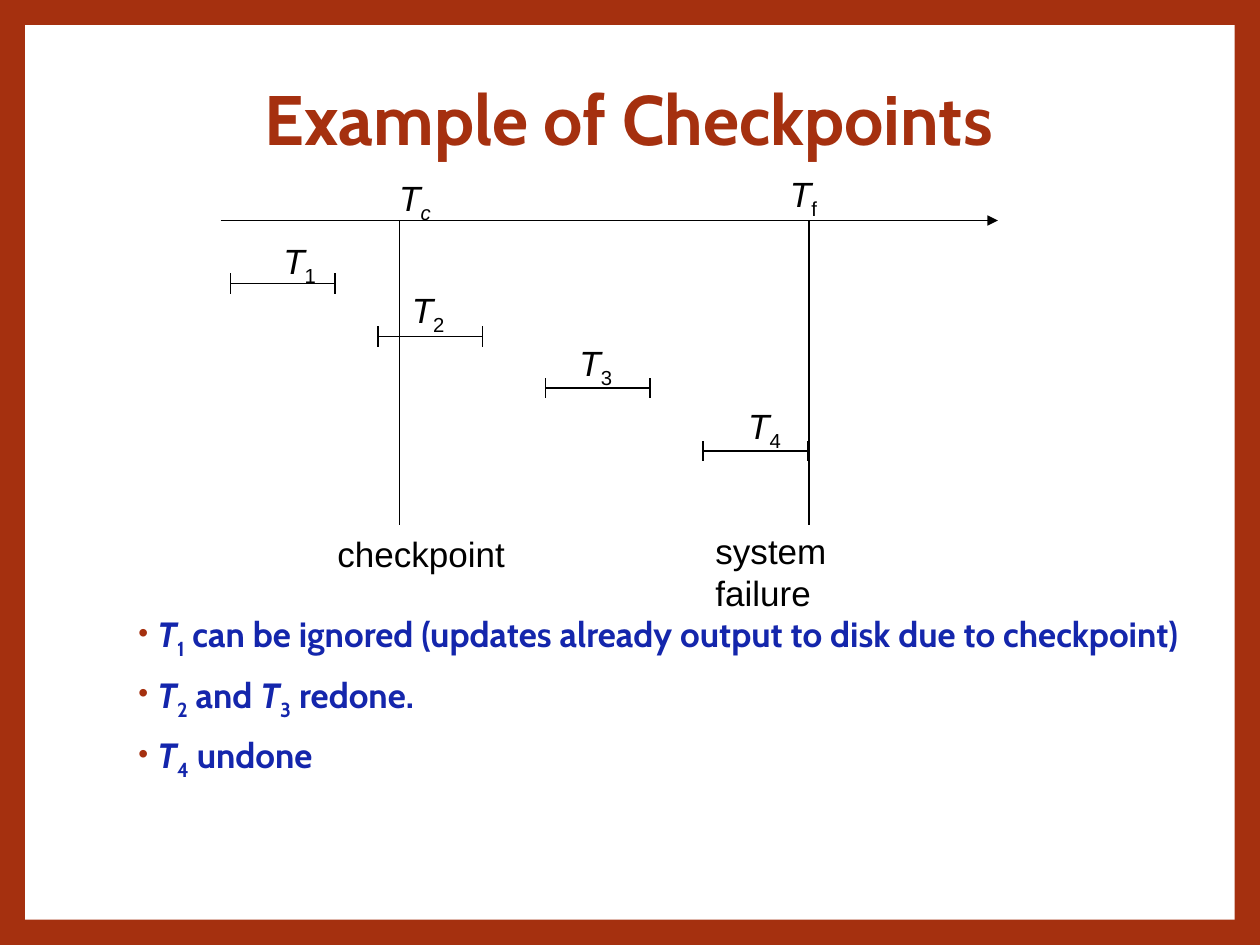
import pptx
import pptx.dml.color
import pptx.enum.shapes
import pptx.enum.text
import pptx.oxml
import pptx.oxml.ns
import pptx.util

Inches = pptx.util.Inches
Pt = pptx.util.Pt
RGBColor = pptx.dml.color.RGBColor
Align = pptx.enum.text.PP_ALIGN
Anchor = pptx.enum.text.MSO_ANCHOR

RUST = RGBColor(0xA5, 0x30, 0x0F)
BLUE = RGBColor(0x14, 0x26, 0xAC)
BLACK = RGBColor(0, 0, 0)
WHITE = RGBColor(255, 255, 255)

AXIS = 1.75
START, END = 1.75, 7.92
CHECK, FAIL = 3.17, 6.42
SPAN, TICK = 0.83, 0.08

# bar left, bar height on slide, label left, label top
BARS = [
    (1.83, 2.25, 2.15, 1.85),
    (3.00, 2.67, 3.17, 2.24),
    (4.33, 3.08, 4.50, 2.66),
    (5.58, 3.58, 5.84, 3.16),
]
LABELS = [
    ("T|c", 3.07, 1.35, 0.46),
    ("T|f", 6.17, 1.32, 0.42),
    ("checkpoint", 2.58, 4.18, 1.53),
    ("system failure", 5.58, 4.15, 1.91),
]
NOTES = [
    "T|1| can be ignored (updates already output to disk due to checkpoint)",
    "T|2| and |T|3| redone.",
    "T|4| undone",
]


def node(tag, **attrs):
    item = pptx.oxml.parse_xml(f"<{tag} {pptx.oxml.ns.nsdecls('a')}/>")
    for key, value in attrs.items():
        item.set(key, value)
    return item


class Board:
    def __init__(self, slide):
        self.slide = slide
        self.shapes = slide.shapes
        self.size = Pt(20)

    def frame(self):
        """Rust border around a white panel that lies behind everything."""
        fill = self.slide.background.fill
        fill.solid()
        fill.fore_color.rgb = RUST
        panel = self.shapes.add_shape(
            pptx.enum.shapes.MSO_SHAPE.RECTANGLE,
            Inches(0.2), Inches(0.2), Inches(9.6), Inches(7.1))
        panel.shadow.inherit = False
        panel.fill.solid()
        panel.fill.fore_color.rgb = WHITE
        panel.line.fill.background()
        panel.element.getparent().insert(2, panel.element)

    def title(self, text):
        box = self.shapes.title
        box.left, box.top = Inches(0.94), Inches(0.67)
        box.width, box.height = Inches(8.1), Inches(0.61)
        frame = box.text_frame
        frame.text = text
        frame.vertical_anchor = Anchor.MIDDLE
        para = frame.paragraphs[0]
        para.alignment = Align.CENTER
        para.line_spacing = 0.9
        font = para.runs[0].font
        font.name, font.size, font.bold = "Cabin", Pt(40), True
        font.color.rgb = RUST

    def line(self, x1, y1, x2, y2, arrow=False):
        link = self.shapes.add_connector(
            pptx.enum.shapes.MSO_CONNECTOR.STRAIGHT,
            Inches(x1), Inches(y1), Inches(x2), Inches(y2))
        link.line.color.rgb = BLACK
        link.line.width = Pt(0.75)
        props = link.element.spPr
        if arrow:
            stroke = props.find(pptx.oxml.ns.qn("a:ln"))
            stroke.append(node("a:tailEnd", type="triangle"))
        props.append(node("a:effectLst"))

    def bar(self, left, y):
        """Interval with a tick at each end."""
        right = left + SPAN
        self.line(left, y, right, y)
        for x in (left, right):
            self.line(x, y - TICK, x, y + TICK)

    def runs(self, para, text, face, color, bold=False):
        """Add the parts split by |; single letters other than T are subscripts."""
        for part in text.split("|"):
            run = para.add_run()
            run.text = part
            font = run.font
            font.name, font.size, font.bold = face, self.size, bold
            font.italic = part in ("T", "c")
            font.color.rgb = color
            if len(part) == 1 and part != "T":
                run._r.get_or_add_rPr().set("baseline", "-25000")

    def label(self, text, left, top, width=0.47):
        box = self.shapes.add_textbox(
            Inches(left), Inches(top), Inches(width), Inches(0.43))
        box.text_frame.word_wrap = False
        self.runs(box.text_frame.paragraphs[0], text, "Arial", BLACK)

    def bullets(self, items):
        box = self.shapes.add_textbox(
            Inches(0.96), Inches(4.82), Inches(9.04), Inches(2.03))
        frame = box.text_frame
        frame.word_wrap = True
        for i, text in enumerate(items):
            para = frame.add_paragraph() if i else frame.paragraphs[0]
            para.alignment = Align.JUSTIFY
            para.line_spacing = 0.9
            para.space_before = Pt(10)
            props = para._p.get_or_add_pPr()
            props.set("marL", str(Inches(0.19)))
            props.set("indent", str(Inches(-0.15)))
            tint = node("a:buClr")
            tint.append(node("a:srgbClr", val=str(RUST)))
            props.append(tint)
            props.append(node("a:buSzPct", val="80000"))
            props.append(node("a:buFont", typeface="Arial"))
            props.append(node("a:buChar", char="•"))
            self.runs(para, text, "Cabin", BLUE, bold=True)


def main():
    deck = pptx.Presentation()
    deck.slide_width, deck.slide_height = Inches(10), Inches(7.5)
    board = Board(deck.slides.add_slide(deck.slide_layouts[5]))
    board.frame()
    board.title("Example of Checkpoints")
    board.bullets(NOTES)
    board.line(START, AXIS, END, AXIS, arrow=True)
    for x in (CHECK, FAIL):
        board.line(x, AXIS, x, 4.17)
    for i, (left, y, tx, ty) in enumerate(BARS, 1):
        board.bar(left, y)
        board.label(f"T|{i}", tx, ty)
    for label in LABELS:
        board.label(*label)
    deck.save("out.pptx")


if __name__ == "__main__":
    main()
